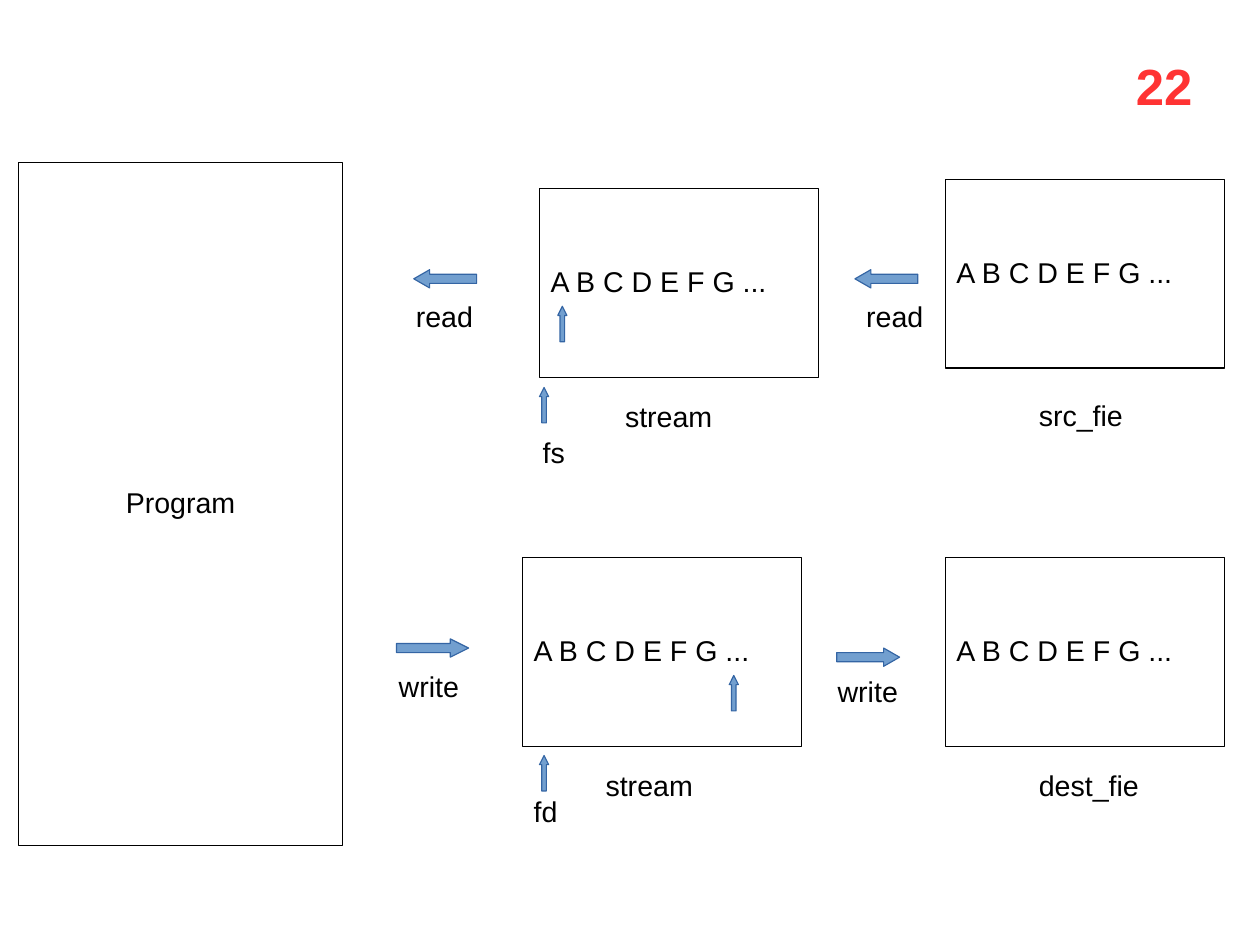
from dataclasses import dataclass
from pptx import Presentation
from pptx.dml.color import RGBColor
from pptx.enum.shapes import MSO_SHAPE
from pptx.enum.text import MSO_ANCHOR, PP_ALIGN
from pptx.util import Inches, Pt


@dataclass
class Theme:
    font: str = "Arial"
    ink: str = "000000"
    paper: str = "FFFFFF"
    arrow: str = "729FCF"
    edge: str = "3465A4"
    red: str = "FF3333"
    body: int = 18
    big: int = 32
    line: float = 0.75


theme = Theme()
deck = Presentation()
deck.slide_width = Inches(28 / 2.54)
deck.slide_height = Inches(21 / 2.54)
slide = deck.slides.add_slide(deck.slide_layouts[6])


def draw(kind, left, top, width, height, fill, edge):
    shape = slide.shapes.add_shape(
        kind, Inches(left), Inches(top), Inches(width), Inches(height))
    shape.shadow.inherit = False
    shape.fill.solid()
    shape.fill.fore_color.rgb = RGBColor.from_string(fill)
    shape.line.color.rgb = RGBColor.from_string(edge)
    shape.line.width = Pt(theme.line)
    return shape


def write(shape, text, align=PP_ALIGN.LEFT, size=theme.body, color=theme.ink, bold=False):
    para = shape.text_frame.paragraphs[0]
    para.alignment = align
    para.line_spacing = 0.94
    run = para.add_run()
    run.text = text
    run.font.name = theme.font
    run.font.size = Pt(size)
    run.font.bold = bold
    run.font.color.rgb = RGBColor.from_string(color)


letters = "A B C D E F G ..."
boxes = [
    (0.16, 1.42, 2.84, 5.98, "Program", PP_ALIGN.CENTER),
    (4.72, 1.65, 2.44, 1.65, letters, PP_ALIGN.LEFT),
    (8.27, 1.57, 2.44, 1.65, letters, PP_ALIGN.LEFT),
    (8.27, 4.88, 2.44, 1.65, letters, PP_ALIGN.LEFT),
    (4.57, 4.88, 2.44, 1.65, letters, PP_ALIGN.LEFT),
]
for left, top, width, height, text, align in boxes:
    box = draw(MSO_SHAPE.RECTANGLE, left, top, width, height, theme.paper, theme.ink)
    box.text_frame.word_wrap = True
    box.text_frame.vertical_anchor = MSO_ANCHOR.MIDDLE
    write(box, text, align)

arrows = [
    (MSO_SHAPE.LEFT_ARROW, 7.48, 2.36, 0.55, 0.16, 0.87),
    (MSO_SHAPE.LEFT_ARROW, 3.62, 2.36, 0.55, 0.16, 0.87),
    (MSO_SHAPE.RIGHT_ARROW, 3.47, 5.59, 0.63, 0.16, 1),
    (MSO_SHAPE.RIGHT_ARROW, 7.32, 5.67, 0.55, 0.16, 0.87),
]
for left, top in [(4.88, 2.68), (6.38, 5.91), (4.72, 3.39), (4.72, 6.61)]:
    arrows.append((MSO_SHAPE.UP_ARROW, left, top, 0.08, 0.31, 1))
for kind, left, top, width, height, head in arrows:
    arrow = draw(kind, left, top, width, height, theme.arrow, theme.edge)
    arrow.adjustments[0] = 0.5
    arrow.adjustments[1] = head

labels = [
    (7.48, 2.59, 0.7, 0.4, "read", theme.body, theme.ink, False),
    (3.54, 2.59, 0.7, 0.4, "read", theme.body, theme.ink, False),
    (7.23, 5.87, 0.72, 0.4, "write", theme.body, theme.ink, False),
    (3.39, 5.83, 0.72, 0.4, "write", theme.body, theme.ink, False),
    (4.65, 3.78, 0.39, 0.4, "fs", theme.body, theme.ink, False),
    (4.57, 6.92, 0.41, 0.4, "fd", theme.body, theme.ink, False),
    (8.99, 3.46, 0.93, 0.4, "src_fie", theme.body, theme.ink, False),
    (5.37, 3.47, 0.96, 0.4, "stream", theme.body, theme.ink, False),
    (8.99, 6.69, 1.07, 0.4, "dest_fie", theme.body, theme.ink, False),
    (5.2, 6.69, 0.96, 0.4, "stream", theme.body, theme.ink, False),
    (9.84, 0.47, 0.69, 0.63, "22", theme.big, theme.red, True),
]
for left, top, width, height, text, size, color, bold in labels:
    label = slide.shapes.add_textbox(
        Inches(left), Inches(top), Inches(width), Inches(height))
    label.text_frame.word_wrap = False
    label.text_frame.margin_right = Inches(0.05)
    write(label, text, size=size, color=color, bold=bold)

deck.save("out.pptx")
